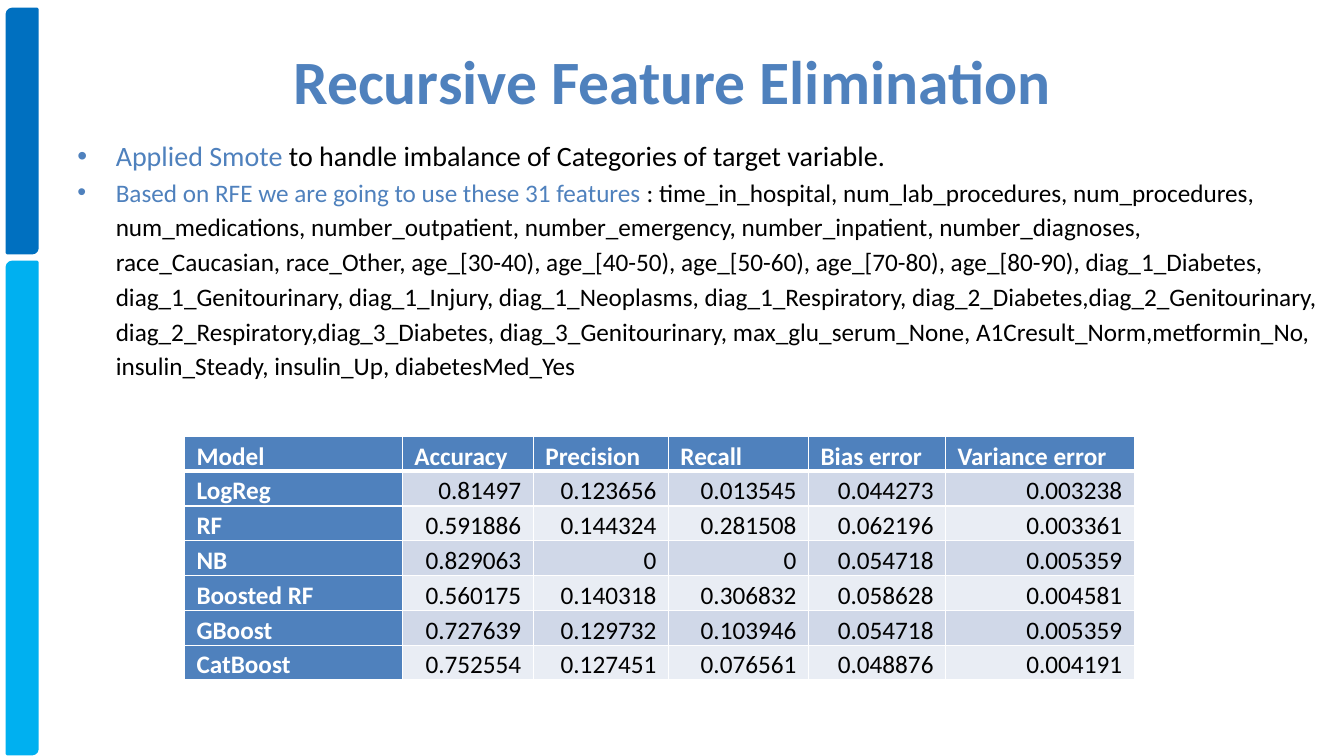
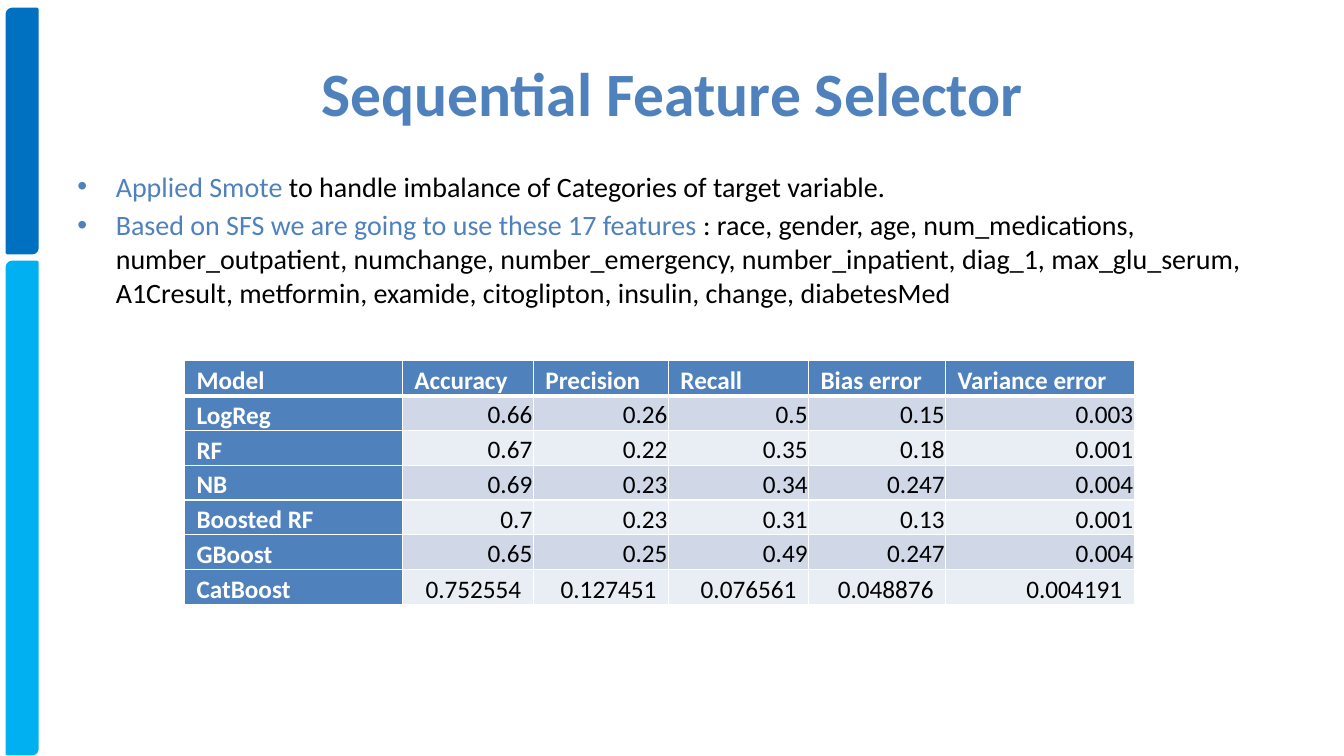
from dataclasses import dataclass

from lxml.etree import SubElement
from pptx import Presentation
from pptx.dml.color import RGBColor
from pptx.enum.shapes import MSO_SHAPE
from pptx.enum.text import MSO_ANCHOR, PP_ALIGN
from pptx.oxml import parse_xml
from pptx.oxml.ns import nsdecls, qn
from pptx.util import Inches, Pt


@dataclass(frozen=True)
class Theme:
    font: str = "Calibri"
    accent: str = "4F81BD"
    dark_band: str = "0070C0"
    light_band: str = "00B0F0"
    stripes: tuple = ("D0D8E8", "E9EDF4")
    ink: str = "000000"
    paper: str = "FFFFFF"
    title_size: int = 44
    lead_size: int = 20
    detail_size: int = 18
    table_size: int = 18


THEME = Theme()
INDENT = 0.38
COLUMN_WIDTHS = (2.16, 1.3, 1.34, 1.39, 1.36, 1.87)
TABLE_HEIGHT = 2.28
HEADINGS = ("Model", "Accuracy", "Precision", "Recall", "Bias error", "Variance error")
SMOTE = ("Applied Smote ", "to handle imbalance of Categories of target variable.")


def style_run(run, size, color, bold=False):
    run.font.name = THEME.font
    run.font.size = Pt(size)
    run.font.bold = bold
    run.font.color.rgb = RGBColor.from_string(color)


def add_text_area(slide, box):
    frame = slide.shapes.add_textbox(*map(Inches, box)).text_frame
    frame.word_wrap = True
    return frame


# Side bands shared by all slides
def add_bands(slide, box):
    left, top, width, height = box
    upper, gap = 2.42, 0.09
    bands = (
        (top, upper, THEME.dark_band),
        (top + upper + gap, height - upper - gap, THEME.light_band),
    )
    for band_top, band_height, color in bands:
        band = slide.shapes.add_shape(
            MSO_SHAPE.ROUND_2_DIAG_RECTANGLE,
            Inches(left), Inches(band_top), Inches(width), Inches(band_height))
        band.shadow.inherit = False
        band.fill.solid()
        band.fill.fore_color.rgb = RGBColor.from_string(color)
        band.line.color.rgb = RGBColor.from_string(color)
        band.line.width = Pt(2)


def add_title(slide, box, wording):
    frame = add_text_area(slide, box)
    frame.vertical_anchor = MSO_ANCHOR.MIDDLE
    heading = frame.paragraphs[0]
    heading.text = wording
    heading.alignment = PP_ALIGN.CENTER
    style_run(heading.runs[0], THEME.title_size, THEME.accent, bold=True)


# Bullets with a coloured lead, then indented continuation lines
def add_points(slide, box, points, more_lines, detail_size):
    frame = add_text_area(slide, box)
    sizes = [THEME.lead_size] + [detail_size] * (len(points) + len(more_lines) - 1)
    entries = list(points) + [("", line) for line in more_lines]
    for index, ((lead, rest), size) in enumerate(zip(entries, sizes)):
        paragraph = frame.paragraphs[0] if index == 0 else frame.add_paragraph()
        paragraph.space_before = Pt(round(size * 0.18, 1))
        props = paragraph._p.get_or_add_pPr()
        props.set("marL", str(Inches(INDENT)))
        if lead:
            props.set("indent", str(-Inches(INDENT)))
            SubElement(props, qn("a:buFont")).set("typeface", "Arial")
            SubElement(props, qn("a:buChar")).set("char", "•")
        for wording, color in ((lead, THEME.accent), (rest, THEME.ink)):
            if wording:
                run = paragraph.add_run()
                run.text = wording
                style_run(run, size, color)


def set_borders(cell, top, bottom):
    props = cell._tc.get_or_add_tcPr()
    edges = (("lnL", 1), ("lnR", 1), ("lnT", top), ("lnB", bottom))
    for position, (edge, points) in enumerate(edges):
        props.insert(position, parse_xml(
            f'<a:{edge} {nsdecls("a")} w="{Pt(points)}"><a:solidFill>'
            f'<a:srgbClr val="{THEME.paper}"/></a:solidFill></a:{edge}>'))


def fill_cell(cell, wording, fill, is_label, tight):
    cell.text = wording
    cell.fill.solid()
    cell.fill.fore_color.rgb = RGBColor.from_string(fill)
    cell.margin_left = cell.margin_right = Inches(0.01 if tight else 0.12)
    cell.margin_top = Inches(0.01 if tight else 0)
    cell.margin_bottom = 0
    cell.vertical_anchor = MSO_ANCHOR.BOTTOM if is_label or tight else MSO_ANCHOR.MIDDLE
    paragraph = cell.text_frame.paragraphs[0]
    paragraph.alignment = PP_ALIGN.LEFT if is_label else PP_ALIGN.RIGHT
    if not tight:
        paragraph.line_spacing = 1.15
    style_run(paragraph.runs[0], THEME.table_size,
              THEME.paper if is_label else THEME.ink, bold=is_label)


# Model scores; the figures of tight models sit against the cell edge
def add_scores(slide, left, top, scores, tight_models):
    rows = [HEADINGS] + scores
    table = slide.shapes.add_table(
        len(rows), len(HEADINGS), Inches(left), Inches(top),
        Inches(sum(COLUMN_WIDTHS)), Inches(TABLE_HEIGHT)).table
    table.first_col = True
    for column, width in zip(table.columns, COLUMN_WIDTHS):
        column.width = Inches(width)
    for r, values in enumerate(rows):
        for c, value in enumerate(values):
            cell = table.cell(r, c)
            is_label = r == 0 or c == 0
            fill = THEME.accent if is_label else THEME.stripes[(r - 1) % 2]
            fill_cell(cell, value, fill, is_label,
                      tight=not is_label and values[0] in tight_models)
            set_borders(cell, top=3 if r == 1 else 1, bottom=3 if r == 0 else 1)


def add_selection_slide(deck, title, title_top, points, points_box, scores,
                        scores_top, more_lines=(), detail_size=THEME.lead_size,
                        tight_models=()):
    slide = deck.slides.add_slide(deck.slide_layouts[6])
    add_bands(slide, (0.07, 0.09, 0.3, 7.39))
    add_title(slide, (0.67, title_top, 12, 1.25), title)
    add_points(slide, points_box, points, more_lines, detail_size)
    add_scores(slide, 1.83, scores_top, scores, tight_models)


CATBOOST = ("CatBoost", "0.752554", "0.127451", "0.076561", "0.048876", "0.004191")

deck = Presentation()
deck.slide_width, deck.slide_height = Inches(13.33), Inches(7.5)

# Recursive feature elimination
add_selection_slide(
    deck, "Recursive Feature Elimination", 0.17,
    points=[
        SMOTE,
        ("Based on RFE we are going to use these 31 features",
         " : time_in_hospital, num_lab_procedures, num_procedures,"),
    ],
    points_box=(0.67, 1.33, 12.58, 6),
    more_lines=[
        "num_medications, number_outpatient, number_emergency, number_inpatient, "
        "number_diagnoses,",
        "race_Caucasian, race_Other, age_[30-40), age_[40-50), age_[50-60), "
        "age_[70-80), age_[80-90), diag_1_Diabetes,",
        "diag_1_Genitourinary, diag_1_Injury, diag_1_Neoplasms, diag_1_Respiratory, "
        "diag_2_Diabetes,diag_2_Genitourinary,",
        "diag_2_Respiratory,diag_3_Diabetes, diag_3_Genitourinary, "
        "max_glu_serum_None, A1Cresult_Norm,metformin_No,",
        "insulin_Steady, insulin_Up, diabetesMed_Yes",
    ],
    detail_size=THEME.detail_size,
    scores=[
        ("LogReg", "0.81497", "0.123656", "0.013545", "0.044273", "0.003238"),
        ("RF", "0.591886", "0.144324", "0.281508", "0.062196", "0.003361"),
        ("NB", "0.829063", "0", "0", "0.054718", "0.005359"),
        ("Boosted RF", "0.560175", "0.140318", "0.306832", "0.058628", "0.004581"),
        ("GBoost", "0.727639", "0.129732", "0.103946", "0.054718", "0.005359"),
        CATBOOST,
    ],
    scores_top=4.33,
)

# Sequential feature selector
add_selection_slide(
    deck, "Sequential Feature Selector", 0.29,
    points=[
        SMOTE,
        ("Based on SFS we are going to use these 17 features",
         " : race, gender, age, num_medications, number_outpatient, numchange, "
         "number_emergency, number_inpatient, diag_1, max_glu_serum, A1Cresult, "
         "metformin, examide, citoglipton, insulin, change, diabetesMed"),
    ],
    points_box=(0.67, 1.63, 12.58, 5.07),
    scores=[
        ("LogReg", "0.66", "0.26", "0.5", "0.15", "0.003"),
        ("RF", "0.67", "0.22", "0.35", "0.18", "0.001"),
        ("NB", "0.69", "0.23", "0.34", "0.247", "0.004"),
        ("Boosted RF", "0.7", "0.23", "0.31", "0.13", "0.001"),
        ("GBoost", "0.65", "0.25", "0.49", "0.247", "0.004"),
        CATBOOST,
    ],
    scores_top=3.58,
    tight_models=("LogReg", "RF", "NB", "Boosted RF", "GBoost"),
)

deck.save("out.pptx")
